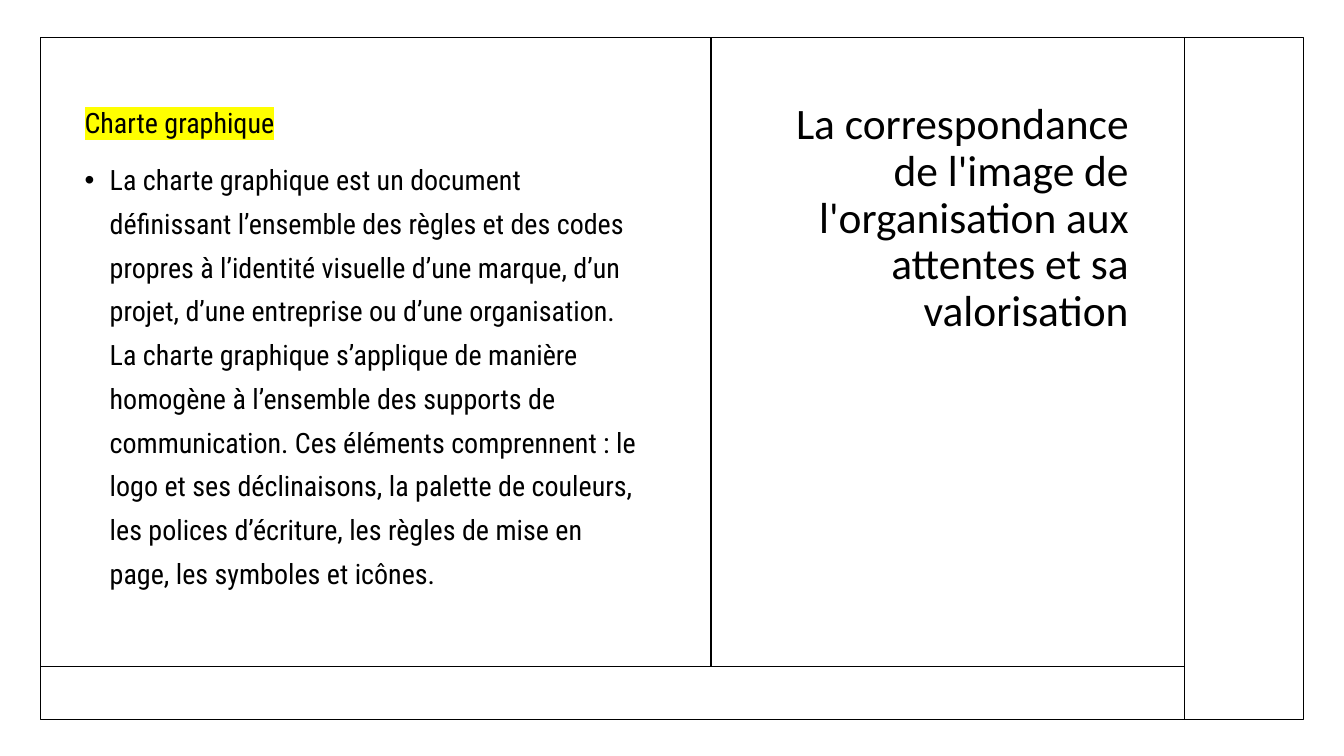
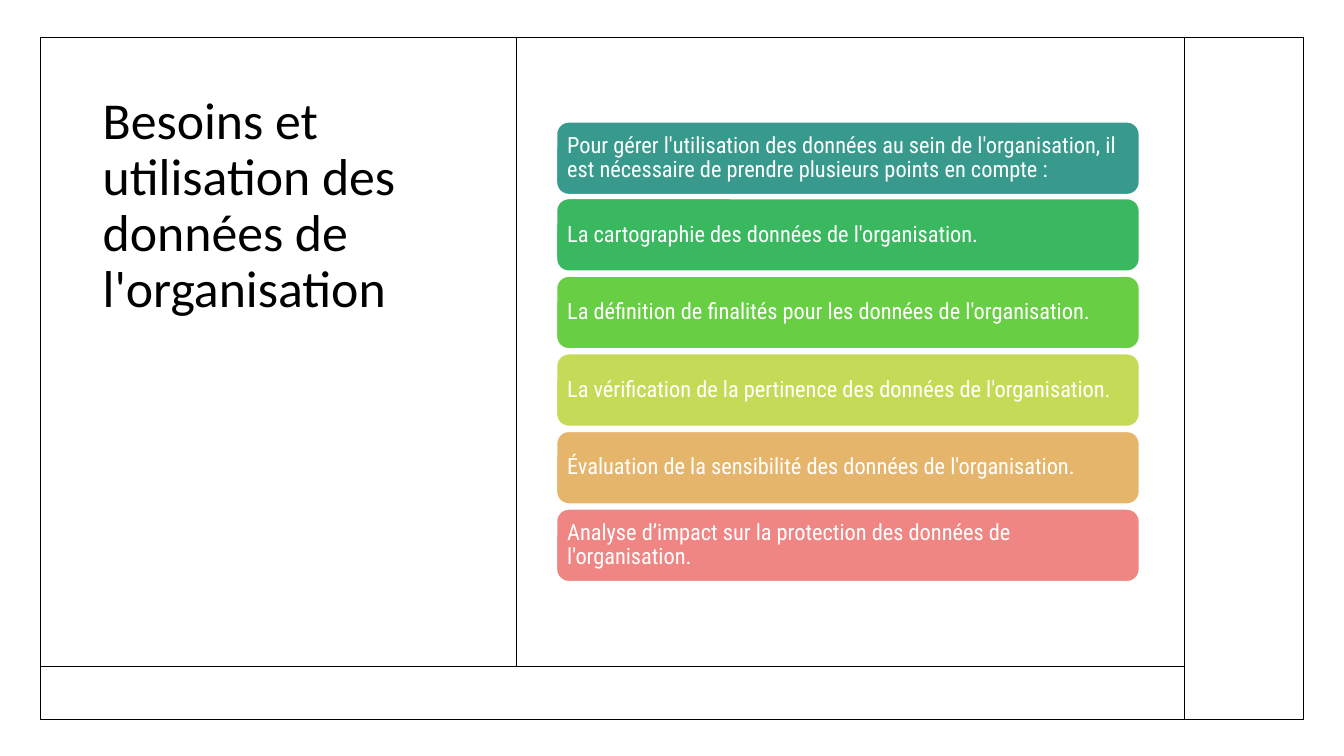
"""Build two framed slides on brand image and data use."""
import dataclasses
import typing

import lxml.etree
import pptx
import pptx.dml.color
import pptx.enum.shapes
import pptx.enum.text
import pptx.oxml.ns
import pptx.util

RGB = pptx.dml.color.RGBColor
ALIGN = pptx.enum.text.PP_ALIGN
ANCHOR = pptx.enum.text.MSO_ANCHOR
SHAPE = pptx.enum.shapes.MSO_SHAPE
qn = pptx.oxml.ns.qn

SCALE = 9144
BLACK = RGB(0x00, 0x00, 0x00)
WHITE = RGB(0xFF, 0xFF, 0xFF)
TEAL = RGB(0x38, 0x99, 0x8D)
GREEN = RGB(0x39, 0xB8, 0x60)
LIME = RGB(0x68, 0xCE, 0x43)
OLIVE = RGB(0xC5, 0xDB, 0x57)
AMBER = RGB(0xE6, 0xB5, 0x6C)
CORAL = RGB(0xEF, 0x86, 0x83)
YELLOW = RGB(0xFF, 0xFF, 0x00)

HEAD_FONT = "Calibri"
BODY_FONT = "Roboto Condensed"
LEFT, TOP, RIGHT, BASE = 40, 37, 1293, 714
SIDE, FOOT = 1175, 661


def px(size: int) -> int:
    """Turn px into EMU."""
    return size * SCALE


@dataclasses.dataclass(frozen=True)
class Box:
    """Place and size in px."""
    left: int
    top: int
    width: int
    height: int

    def emu(self) -> tuple[int, ...]:
        """Give the box in EMU."""
        return tuple(map(px, dataclasses.astuple(self)))


@dataclasses.dataclass(frozen=True)
class Style:
    """Look of a paragraph."""
    name: str
    size: int
    color: RGB
    lead: float
    align: ALIGN = ALIGN.LEFT
    before: int = 0


@dataclasses.dataclass(frozen=True)
class Bar:
    """One coloured bar with its text."""
    text: str
    fill: RGB


BODY = Style(BODY_FONT, 20, BLACK, 1.3, before=10)
LABEL = Style(BODY_FONT, 16, WHITE, 0.9)

BARS = (
    Bar("Pour gérer l'utilisation des données au sein de l'organisation, "
        "il est nécessaire de prendre plusieurs points en compte :", TEAL),
    Bar("La cartographie des données de l'organisation.", GREEN),
    Bar("La définition de finalités pour les données de l'organisation.", LIME),
    Bar("La vérification de la pertinence des données de l'organisation.", OLIVE),
    Bar("Évaluation de la sensibilité des données de l'organisation.", AMBER),
    Bar("Analyse d’impact sur la protection des données de l'organisation.", CORAL),
)
CHARTER = (
    "La charte graphique est un document définissant l’ensemble des règles et "
    "des codes propres à l’identité visuelle d’une marque, d’un projet, d’une "
    "entreprise ou d’une organisation. La charte graphique s’applique de manière "
    "homogène à l’ensemble des supports de communication. Ces éléments "
    "comprennent : le logo et ses déclinaisons, la palette de couleurs, les "
    "polices d’écriture, les règles de mise en page, les symboles et icônes."
)


def apply(item: typing.Any, values: dict[str, typing.Any]) -> None:
    """Set each attribute named in the dict."""
    for key, value in values.items():
        setattr(item, key, value)


def write(para: typing.Any, text: str, style: Style) -> typing.Any:
    """Fill a paragraph with one styled run."""
    apply(para, {"alignment": style.align, "line_spacing": style.lead,
                 "space_before": pptx.util.Pt(style.before)})
    run = para.add_run()
    run.text = text
    apply(run.font, {"name": style.name, "size": pptx.util.Pt(style.size)})
    run.font.color.rgb = style.color
    return run


def mark(run: typing.Any, color: RGB) -> None:
    """Highlight a run."""
    light = lxml.etree.Element(qn("a:highlight"))
    lxml.etree.SubElement(light, qn("a:srgbClr"), val=str(color))
    run.font._element.find(qn("a:latin")).addprevious(light)


def bullet(para: typing.Any, indent: int) -> None:
    """Give a paragraph a hanging bullet."""
    props = para._p.get_or_add_pPr()
    props.set("marL", str(px(indent)))
    props.set("indent", str(-px(indent)))
    lxml.etree.SubElement(props, qn("a:buFont"), typeface="Arial")
    lxml.etree.SubElement(props, qn("a:buChar"), char="•")


def add_text(slide: typing.Any, box: Box, anchor: ANCHOR) -> typing.Any:
    """Add a wrapped text box and return its frame."""
    frame = slide.shapes.add_textbox(*box.emu()).text_frame
    apply(frame, {"word_wrap": True, "vertical_anchor": anchor})
    return frame


def add_title(slide: typing.Any, box: Box, text: str, size: int,
              align: ALIGN = ALIGN.LEFT) -> None:
    """Add the slide title."""
    frame = add_text(slide, box, ANCHOR.TOP)
    write(frame.paragraphs[0], text, Style(HEAD_FONT, size, BLACK, 0.9, align))


def add_shape(slide: typing.Any, kind: SHAPE, box: Box, edge: RGB) -> typing.Any:
    """Add a flat shape with a thin edge."""
    shape = slide.shapes.add_shape(kind, *box.emu())
    shape.shadow.inherit = False
    shape.line.color.rgb = edge
    shape.line.width = pptx.util.Pt(1)
    return shape


def add_rule(slide: typing.Any, *ends: int) -> None:
    """Draw a thin black line."""
    kind = pptx.enum.shapes.MSO_CONNECTOR.STRAIGHT
    rule = slide.shapes.add_connector(kind, *map(px, ends))
    rule.line.color.rgb = BLACK
    rule.line.width = pptx.util.Pt(1)
    lxml.etree.SubElement(rule._element.spPr, qn("a:effectLst"))


def add_slide(deck: typing.Any, split: int) -> typing.Any:
    """Add a blank slide with the shared frame."""
    slide = deck.slides.add_slide(deck.slide_layouts[6])
    box = Box(LEFT, TOP, RIGHT - LEFT, BASE - TOP)
    add_shape(slide, SHAPE.RECTANGLE, box, BLACK).fill.background()
    add_rule(slide, split, TOP, split, FOOT)
    add_rule(slide, LEFT, FOOT, SIDE, FOOT)
    add_rule(slide, SIDE, TOP, SIDE, BASE)
    return slide


def add_bar(slide: typing.Any, box: Box, bar: Bar) -> None:
    """Draw one rounded bar."""
    shape = add_shape(slide, SHAPE.ROUNDED_RECTANGLE, box, WHITE)
    shape.fill.solid()
    shape.fill.fore_color.rgb = bar.fill
    frame = shape.text_frame
    sides = ("left", "top", "right", "bottom")
    apply(frame, {f"margin_{side}": px(7) for side in sides})
    apply(frame, {"word_wrap": True, "vertical_anchor": ANCHOR.MIDDLE})
    write(frame.paragraphs[0], bar.text, LABEL)


def draw_charter(deck: typing.Any) -> None:
    """Draw the slide on the style guide."""
    slide = add_slide(deck, 705)
    add_title(slide, Box(744, 96, 385, 512),
              "La correspondance de l'image de l'organisation aux attentes "
              "et sa valorisation", 31, ALIGN.RIGHT)
    frame = add_text(slide, Box(74, 70, 573, 520), ANCHOR.BOTTOM)
    mark(write(frame.paragraphs[0], "Charte graphique", BODY), YELLOW)
    para = frame.add_paragraph()
    write(para, CHARTER, BODY)
    bullet(para, 25)


def draw_needs(deck: typing.Any) -> None:
    """Draw the slide on data needs."""
    slide = add_slide(deck, 512)
    add_title(slide, Box(92, 89, 375, 521),
              "Besoins et utilisation des données de l'organisation", 37)
    first, last = 121, 505
    for index, bar in enumerate(BARS):
        top = first + index * (last - first) // (len(BARS) - 1)
        add_bar(slide, Box(552, top, 578, 72), bar)


def main() -> None:
    """Build and save the deck."""
    deck = pptx.Presentation()
    apply(deck, {"slide_width": px(1333), "slide_height": px(750)})
    draw_charter(deck)
    draw_needs(deck)
    deck.save("out.pptx")


if __name__ == "__main__":
    main()
